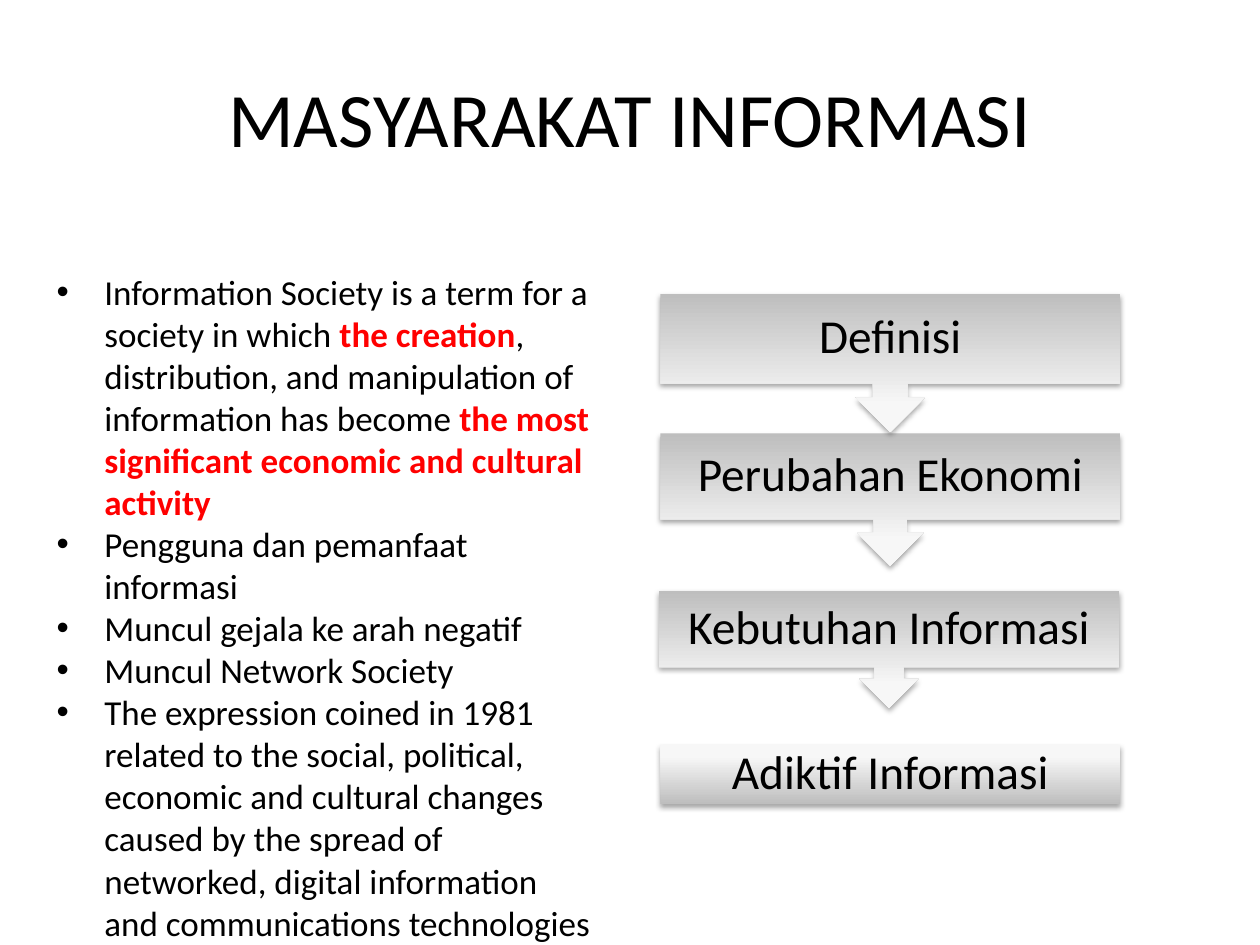
from dataclasses import dataclass

from lxml.etree import SubElement
from pptx import Presentation
from pptx.dml.color import RGBColor
from pptx.enum.shapes import MSO_SHAPE
from pptx.enum.text import MSO_ANCHOR, PP_ALIGN
from pptx.oxml import parse_xml
from pptx.oxml.ns import nsdecls, qn
from pptx.util import Inches, Pt

COLORS = {
    "text": "000000",
    "accent": "FF0000",
    "dark": "BEBEBE",
    "light": "F7F7F7",
    "lightest": "F8F8F8",
    "shadow": "000000",
}
FONT = "Calibri"
STEP_WIDTH = 3.65
CALLOUT_BODY_SHARE = 0.65
STEP_INSET = 0.21
BULLET_INDENT = 0.38


@dataclass(frozen=True)
class Step:
    label: str
    left: float
    top: float
    height: float
    has_arrow: bool = True


STEPS = [
    Step("Definisi", 5.24, 2.33, 1.1),
    Step("Perubahan Ekonomi", 5.24, 3.44, 1.05),
    Step("Kebutuhan Informasi", 5.23, 4.69, 0.93),
    Step("Adiktif Informasi", 5.24, 5.91, 0.47, has_arrow=False),
]

BULLETS = [
    [
        ("Information Society is a term for a society in which ", False),
        ("the creation", True),
        (", distribution, and manipulation of information has become", False),
        (" the most significant economic and cultural activity", True),
    ],
    [("Pengguna dan pemanfaat informasi", False)],
    [("Muncul gejala ke arah negatif", False)],
    [("Muncul Network Society", False)],
    [
        (
            "The expression coined in 1981 related to the social, political, "
            "economic and cultural changes caused by the spread of networked, "
            "digital information and communications technologies",
            False,
        )
    ],
]


def add_run(paragraph, text: str, size: float, emphasized: bool = False) -> None:
    run = paragraph.add_run()
    run.text = text
    run.font.name = FONT
    run.font.size = Pt(size)
    run.font.bold = emphasized
    run.font.color.rgb = RGBColor.from_string(COLORS["accent" if emphasized else "text"])


def add_text_frame(slide, left: float, top: float, width: float, height: float):
    box = slide.shapes.add_textbox(Inches(left), Inches(top), Inches(width), Inches(height))
    box.text_frame.word_wrap = True
    return box.text_frame


def add_title(slide, text: str) -> None:
    frame = add_text_frame(slide, 0.5, 0.3, 9, 1.25)
    frame.vertical_anchor = MSO_ANCHOR.MIDDLE
    paragraph = frame.paragraphs[0]
    paragraph.alignment = PP_ALIGN.CENTER
    add_run(paragraph, text, 44)


def add_bullets(slide) -> None:
    frame = add_text_frame(slide, 0.35, 2.1, 4.49, 4.8)
    for index, parts in enumerate(BULLETS):
        paragraph = frame.add_paragraph() if index else frame.paragraphs[0]
        properties = paragraph._p.get_or_add_pPr()
        properties.set("marL", str(Inches(BULLET_INDENT)))
        properties.set("indent", str(-Inches(BULLET_INDENT)))
        SubElement(properties, qn("a:buFont"), typeface="Arial")
        SubElement(properties, qn("a:buChar"), char="•")
        for text, emphasized in parts:
            add_run(paragraph, text, 20, emphasized)


def style_step(shape) -> None:
    shape.line.fill.background()
    shape.fill.gradient()
    shape.fill.gradient_angle = 90
    stops = shape._element.spPr.find(qn("a:gradFill")).find(qn("a:gsLst"))
    for stop in list(stops):
        stops.remove(stop)
    for position, name in ((0, "dark"), (80, "light"), (100, "lightest")):
        stop = SubElement(stops, qn("a:gs"), pos=str(position * 1000))
        SubElement(stop, qn("a:srgbClr"), val=COLORS[name])
    shape._element.spPr.append(parse_xml(
        f'<a:effectLst {nsdecls("a")}>'
        f'<a:outerShdw blurRad="{Pt(3.1)}" dist="{Pt(1.8)}" dir="5400000" rotWithShape="0">'
        f'<a:srgbClr val="{COLORS["shadow"]}"><a:alpha val="35000"/></a:srgbClr>'
        "</a:outerShdw></a:effectLst>"
    ))


def add_step(slide, step: Step) -> None:
    preset = MSO_SHAPE.UP_ARROW_CALLOUT if step.has_arrow else MSO_SHAPE.RECTANGLE
    shape = slide.shapes.add_shape(
        preset, Inches(step.left), Inches(step.top), Inches(STEP_WIDTH), Inches(step.height)
    )
    shape.rotation = 180 if step.has_arrow else 0
    style_step(shape)

    label_height = step.height * (CALLOUT_BODY_SHARE if step.has_arrow else 1)
    frame = add_text_frame(slide, step.left, step.top, STEP_WIDTH, label_height)
    frame.vertical_anchor = MSO_ANCHOR.MIDDLE
    frame.margin_left = frame.margin_right = Inches(STEP_INSET)
    frame.margin_top = frame.margin_bottom = Inches(STEP_INSET)
    paragraph = frame.paragraphs[0]
    paragraph.alignment = PP_ALIGN.CENTER
    paragraph.line_spacing = 0.9
    add_run(paragraph, step.label, 27)


def main() -> None:
    presentation = Presentation()
    presentation.slide_width = Inches(10)
    presentation.slide_height = Inches(7.5)
    slide = presentation.slides.add_slide(presentation.slide_layouts[6])
    add_title(slide, "MASYARAKAT INFORMASI")
    add_bullets(slide)
    for step in reversed(STEPS):
        add_step(slide, step)
    presentation.save("out.pptx")


if __name__ == "__main__":
    main()
